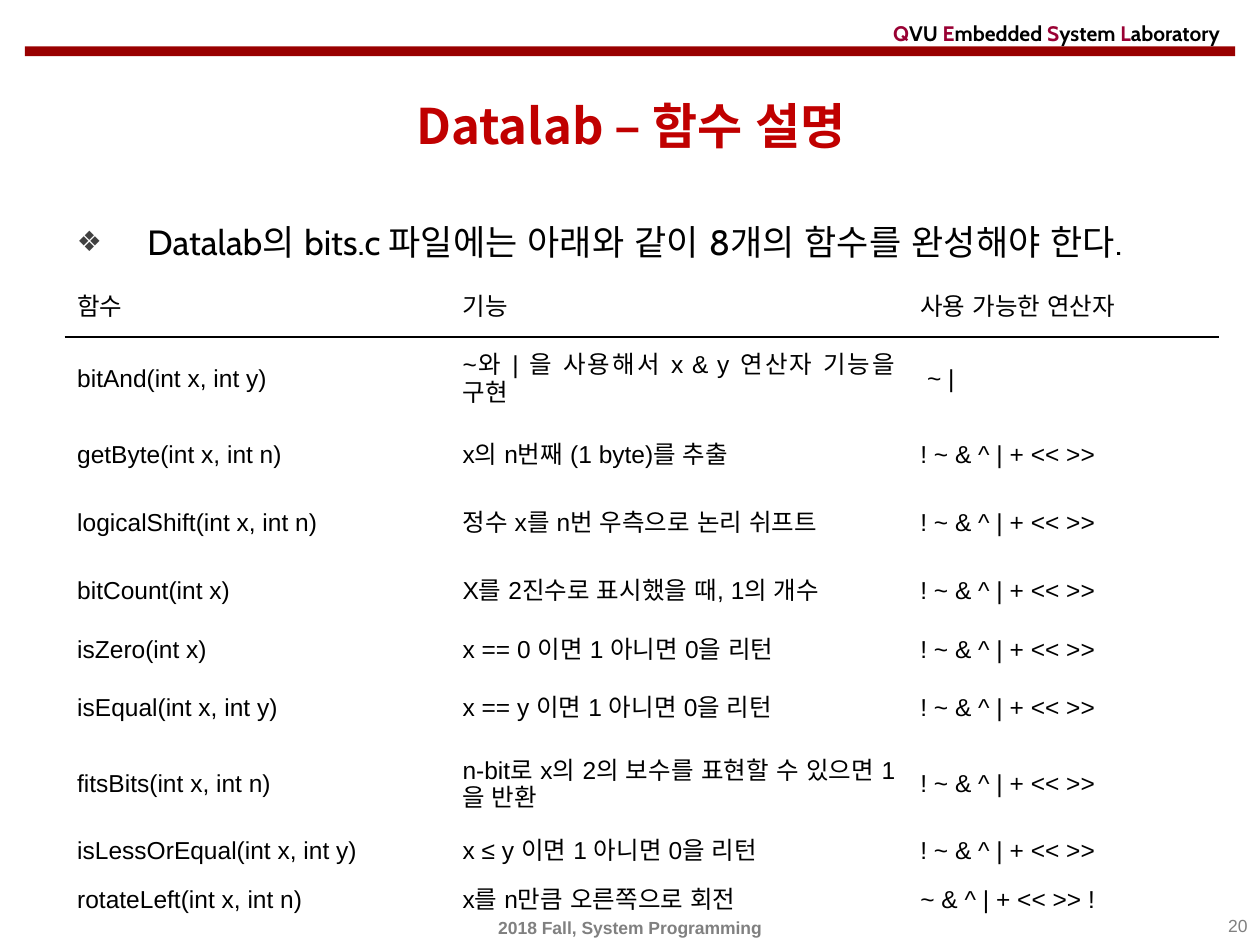
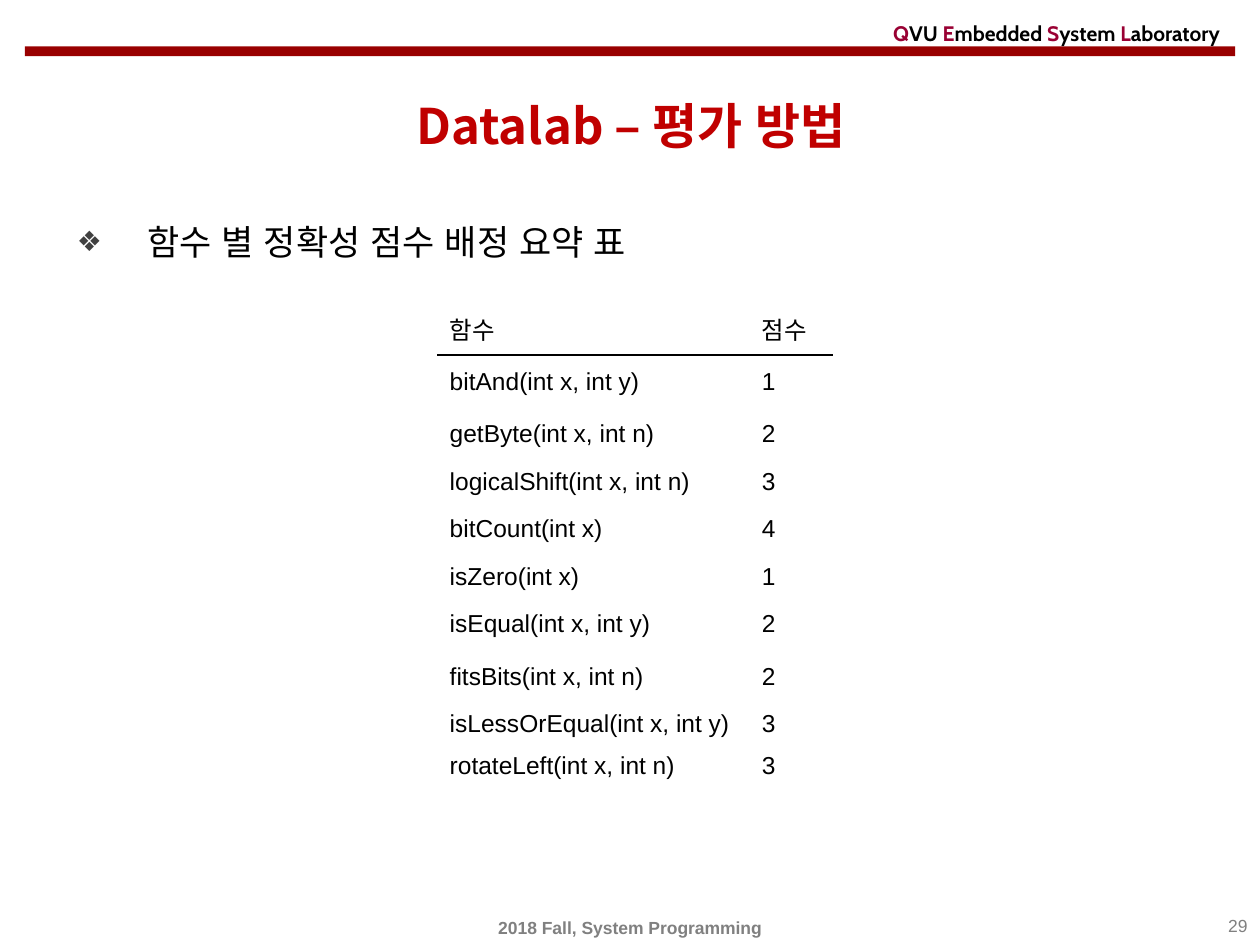
"""Build two Datalab slides: the function overview and the score table."""
from lxml import etree
from pptx import Presentation
from pptx.dml.color import RGBColor
from pptx.enum.shapes import MSO_SHAPE
from pptx.enum.text import MSO_ANCHOR, MSO_AUTO_SIZE, PP_ALIGN
from pptx.oxml.ns import qn
from pptx.util import Pt

RECTANGLE = MSO_SHAPE.RECTANGLE
MIDDLE, TOP = MSO_ANCHOR.MIDDLE, MSO_ANCHOR.TOP
LEFT, CENTER, RIGHT, JUSTIFY = PP_ALIGN.LEFT, PP_ALIGN.CENTER, PP_ALIGN.RIGHT, PP_ALIGN.JUSTIFY
NO_FIT = MSO_AUTO_SIZE.NONE
NO_GRID_STYLE = "{2D5ABB26-0587-4C30-8999-92F81FD0307C}"

COLORS = {"band": "990000", "initial": "990033", "title": "C00000",
          "text": "000000", "footer": "808080", "bullet": "404040"}
EAST_ASIAN = "Arial"
FORMATS = {
    "lab": {"name": "Cabin", "size": Pt(12), "bold": True},
    "title": {"name": "Noto Sans CJK KR", "size": Pt(28), "bold": True},
    "body": {"name": "Cabin", "size": Pt(20), "bold": False},
    "table": {"name": "Arial", "size": Pt(14), "bold": False},
    "footer": {"name": "Arial", "size": Pt(10), "bold": True},
    "number": {"name": "Arial", "size": Pt(10), "bold": False},
}
LAB_NAME = [("Q", "initial"), ("VU ", "text"), ("E", "initial"), ("mbedded ", "text"),
            ("S", "initial"), ("ystem ", "text"), ("L", "initial"), ("aboratory", "text")]

OPERATORS = "! ~ & ^ | + << >>"
FUNCTIONS = [
    ("bitAnd(int x, int y)", "~와 | 을 사용해서 x & y 연산자 기능을 구현", " ~ |", 1),
    ("getByte(int x, int n)", "x의 n번째 (1 byte)를 추출", OPERATORS, 2),
    ("logicalShift(int x, int n)", "정수 x를 n번 우측으로 논리 쉬프트", OPERATORS, 3),
    ("bitCount(int x)", "X를 2진수로 표시했을 때, 1의 개수", OPERATORS, 4),
    ("isZero(int x)", "x == 0 이면 1 아니면 0을 리턴", OPERATORS, 1),
    ("isEqual(int x, int y)", "x == y 이면 1 아니면 0을 리턴", OPERATORS, 2),
    ("fitsBits(int x, int n)", "n-bit로 x의 2의 보수를 표현할 수 있으면 1을 반환", OPERATORS, 2),
    ("isLessOrEqual(int x, int y)", "x ≤ y 이면 1 아니면 0을 리턴", OPERATORS, 3),
    ("rotateLeft(int x, int n)", "x를 n만큼 오른쪽으로 회전", "~ & ^ | + << >> !", 3),
]
PAGES = [
    {"title": "Datalab – 함수 설명", "number": "20",
     "point": "Datalab의 bits.c 파일에는 아래와 같이 8개의 함수를 완성해야 한다.",
     "rows": [("함수", "기능", "사용 가능한 연산자")] + [entry[:3] for entry in FUNCTIONS],
     "corner": (36.9, 158.4), "widths": [220.2, 261.6, 178],
     "heights": [34, 48.2, 38.9, 38.9, 38.9, 28, 38.9, 48.2, 28, 28]},
    {"title": "Datalab – 평가 방법", "number": "29",
     "point": "함수 별 정확성 점수 배정 요약 표",
     "rows": [("함수", "점수")] + [(entry[0], str(entry[3])) for entry in FUNCTIONS],
     "corner": (249.8, 175), "widths": [178.4, 48],
     "heights": [27.9, 30.2, 30.2, 23, 30.2, 23, 30.2, 30.2, 23, 23]},
]


def write(para, text, style, color, align):
    """Add one formatted span to a paragraph."""
    para.alignment = align
    span = para.add_run()
    span.text = text
    for key, value in FORMATS[style].items():
        setattr(span.font, key, value)
    span.font.color.rgb = RGBColor.from_string(COLORS[color])
    etree.SubElement(span.font._element, qn("a:ea"), typeface=EAST_ASIAN)


def add_box(page, place, anchor):
    """Add a wrapping text box and return its first paragraph."""
    frame = page.shapes.add_textbox(*map(Pt, place)).text_frame
    frame.word_wrap = True
    frame.vertical_anchor = anchor
    return frame.paragraphs[0]


deck = Presentation()
deck.slide_width, deck.slide_height = Pt(720), Pt(540)
layout = deck.slide_layouts[1]

for index, content in enumerate(PAGES):
    page = deck.slides.add_slide(layout)

    if index == 0:
        band = page.shapes.add_shape(RECTANGLE, Pt(14.2), Pt(26.5), Pt(691.6), Pt(5.6))
        band.shadow.inherit = False
        band.fill.solid()
        band.fill.fore_color.rgb = RGBColor.from_string(COLORS["band"])
        band.line.fill.background()
        lab = add_box(page, (503.3, 8.6, 218, 20.2), MIDDLE)
        for text, color in LAB_NAME:
            write(lab, text, "lab", color, LEFT)
        for shared in list(page.shapes)[-2:]:
            layout.shapes.element.append(shared.element)

    title, body = page.placeholders[0], page.placeholders[1]
    for holder, place, anchor in [(title, (15, 43.2, 691.2, 56.9), MIDDLE),
                                  (body, (36.7, 122.4, 652.3, 380.2), TOP)]:
        holder.left, holder.top, holder.width, holder.height = map(Pt, place)
        holder.text_frame.vertical_anchor = anchor
        holder.text_frame.auto_size = NO_FIT
    write(title.text_frame.paragraphs[0], content["title"], "title", "title", CENTER)

    point = body.text_frame.paragraphs[0]
    write(point, content["point"], "body", "text", LEFT)
    point_format = point._p.get_or_add_pPr()
    point_format.set("marL", str(Pt(40.3)))
    point_format.set("indent", str(Pt(-40.3)))
    bullet_color = etree.SubElement(point_format, qn("a:buClr"))
    etree.SubElement(bullet_color, qn("a:srgbClr"), val=COLORS["bullet"])
    etree.SubElement(point_format, qn("a:buSzPct"), val="80000")
    etree.SubElement(point_format, qn("a:buChar"), char="❖")

    footer = add_box(page, (0, 519.8, 720, 20.2), MIDDLE)
    write(footer, "2018 Fall, System Programming", "footer", "footer", CENTER)
    number = add_box(page, (552.2, 519.4, 167.8, 20.2), TOP)
    write(number, content["number"], "number", "footer", RIGHT)

    rows, widths, heights = content["rows"], content["widths"], content["heights"]
    place = (*content["corner"], sum(widths), sum(heights))
    table = page.shapes.add_table(len(rows), len(widths), *map(Pt, place)).table
    table.first_row = table.horz_banding = False
    table._tbl.tblPr.find(qn("a:tableStyleId")).text = NO_GRID_STYLE
    for column, width in zip(table.columns, widths):
        column.width = Pt(width)
    for row_index, (row, height) in enumerate(zip(rows, heights)):
        table.rows[row_index].height = Pt(height)
        for column_index, text in enumerate(row):
            cell = table.cell(row_index, column_index)
            cell.vertical_anchor = MIDDLE
            cell.fill.background()
            write(cell.text_frame.paragraphs[0], text, "table", "text", JUSTIFY)
            ruled_side = {0: "a:lnB", 1: "a:lnT"}.get(row_index)
            cell_format = cell._tc.get_or_add_tcPr()
            for position, side in enumerate(("a:lnT", "a:lnB")):
                border = etree.Element(qn(side), w=str(Pt(1.5)))
                cell_format.insert(position, border)
                if side == ruled_side:
                    fill = etree.SubElement(border, qn("a:solidFill"))
                    etree.SubElement(fill, qn("a:srgbClr"), val=COLORS["text"])
                else:
                    etree.SubElement(border, qn("a:noFill"))

deck.save("out.pptx")
